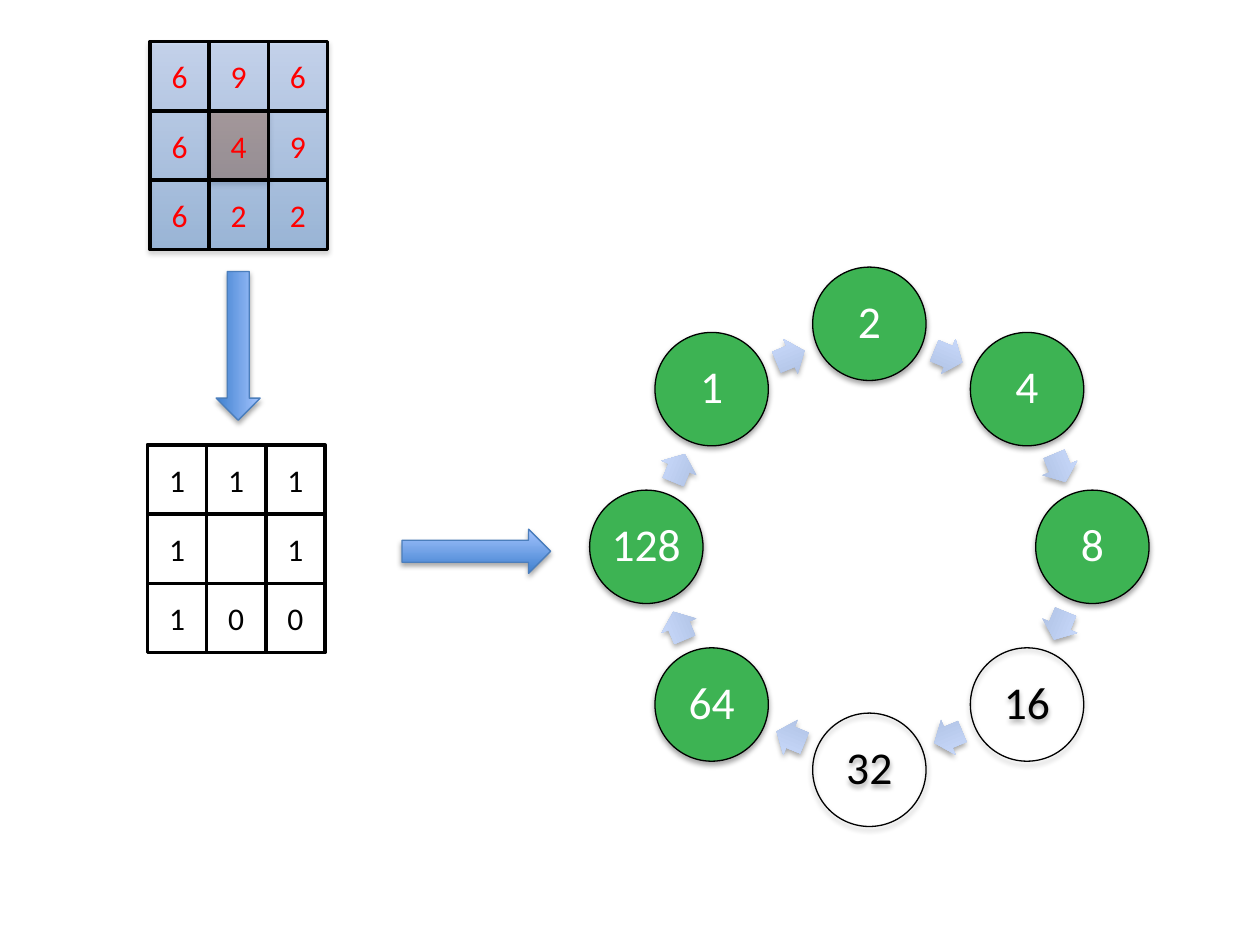
import math

import lxml.etree
import pptx
import pptx.dml.color
import pptx.enum.shapes
import pptx.enum.text
import pptx.oxml.ns
import pptx.util
from pptx.util import Inches

SHAPE = pptx.enum.shapes.MSO_SHAPE
BLACK, WHITE, RED, GREEN = "000000", "FFFFFF", "FF0000", "3DB353"
BLUE_LINE, ORANGE = "4B7EBC", "E46C0A"
BLUE_GRADIENT = ("3F80CE", "A4C4FF")
PALE_GRADIENT = ("ADBFE1", "CCDDFF")
CELL_WIDTH, CELL_HEIGHT = Inches(0.47), Inches(0.55)


def color(hex_text):
    return pptx.dml.color.RGBColor.from_string(hex_text)


def add_child(parent, tag, **attributes):
    child = lxml.etree.SubElement(parent, pptx.oxml.ns.qn(tag))
    for name, value in attributes.items():
        child.set(name, str(value))
    return child


def set_fill(shape, fill, opacity):
    """Fill with nothing, one colour, or a pair running from bottom to top."""
    if fill is None:
        shape.fill.background()
    elif isinstance(fill, str):
        shape.fill.solid()
        shape.fill.fore_color.rgb = color(fill)
    else:
        shape.fill.gradient()
        shape.fill.gradient_angle = 90
        for stop, shade in zip(shape.fill.gradient_stops, fill):
            stop.color.rgb = color(shade)
    if opacity < 100:
        for shade in shape.element.spPr.iter(pptx.oxml.ns.qn("a:srgbClr")):
            add_child(shade, "a:alpha", val=opacity * 1000)


def add_shape(page, kind, box, fill=None, line=None, line_width=0.75,
              shadow=True, opacity=100):
    shape = page.shapes.add_shape(kind, *box)
    set_fill(shape, fill, opacity)
    if line:
        shape.line.color.rgb = color(line)
        shape.line.width = pptx.util.Pt(line_width)
    else:
        shape.line.fill.background()
    shape.shadow.inherit = False
    if shadow:
        effects = shape.element.spPr.find(pptx.oxml.ns.qn("a:effectLst"))
        outer = add_child(effects, "a:outerShdw", blurRad=pptx.util.Pt(3.1),
                          dist=pptx.util.Pt(1.8), dir=5400000, rotWithShape=0)
        add_child(add_child(outer, "a:srgbClr", val=BLACK), "a:alpha", val=35000)
    return shape


def write_number(shape, number, size, text_color):
    frame = shape.text_frame
    frame.word_wrap = False
    frame.vertical_anchor = pptx.enum.text.MSO_ANCHOR.MIDDLE
    para = frame.paragraphs[0]
    para.alignment = pptx.enum.text.PP_ALIGN.CENTER
    span = para.add_run()
    span.text = str(number)
    span.font.name = "Calibri"
    span.font.size = pptx.util.Pt(size)
    span.font.color.rgb = color(text_color)
    return para


def draw_grid(page, left, top, rows, text_color):
    for row, numbers in enumerate(rows):
        for column, number in enumerate(numbers):
            box = (left + column * CELL_WIDTH, top + row * CELL_HEIGHT,
                   CELL_WIDTH, CELL_HEIGHT)
            cell = add_shape(page, SHAPE.RECTANGLE, box, line=BLACK,
                             line_width=2, shadow=False)
            if number is not None:
                write_number(cell, number, 18, text_color)


def draw_pixel_grid(page, left, top, rows):
    """Draw the grey-level grid with its centre pixel tinted."""
    centre = (left + CELL_WIDTH, top + CELL_HEIGHT, CELL_WIDTH, CELL_HEIGHT)
    add_shape(page, SHAPE.RECTANGLE, centre, ORANGE, BLUE_LINE, opacity=50)
    whole = (left, top, 3 * CELL_WIDTH, 3 * CELL_HEIGHT)
    add_shape(page, SHAPE.RECTANGLE, whole, BLUE_GRADIENT, BLUE_LINE, opacity=41)
    draw_grid(page, left, top, rows, RED)


def draw_step_arrow(page, left, top, rotation=0):
    box = (left, top, Inches(1.18), Inches(0.35))
    arrow = add_shape(page, SHAPE.RIGHT_ARROW, box, BLUE_GRADIENT, BLUE_LINE)
    arrow.rotation = rotation


def box_on_ring(ring, radius, degrees, width, height):
    """Return a box centred on the ring, with degrees clockwise from the top."""
    left, top, side = ring
    angle = math.radians(degrees)
    centre_x = left + side / 2 + radius * math.sin(angle)
    centre_y = top + side / 2 - radius * math.cos(angle)
    return int(centre_x - width / 2), int(centre_y - height / 2), width, height


def draw_weight_ring(page, ring, weights):
    """Draw (number, is set) weights clockwise from the top of a square box."""
    diameter, margin = Inches(0.9), Inches(0.04)
    step = 360 / len(weights)
    radius = (ring[2] - diameter) / 2
    arrow_radius = radius * math.cos(math.radians(step / 2))
    for index, (number, is_set) in enumerate(weights):
        degrees = index * step
        circle = add_shape(page, SHAPE.OVAL,
                           box_on_ring(ring, radius, degrees, diameter, diameter),
                           GREEN if is_set else None, BLACK)
        frame = circle.text_frame
        frame.margin_left = frame.margin_right = margin
        frame.margin_top = frame.margin_bottom = margin
        para = write_number(circle, number, 26, WHITE if is_set else BLACK)
        para.line_spacing = 0.9

        degrees += step / 2
        arrow = add_shape(page, SHAPE.RIGHT_ARROW,
                          box_on_ring(ring, arrow_radius, degrees,
                                      Inches(0.24), Inches(0.3)),
                          PALE_GRADIENT)
        arrow.adjustments[0] = 0.6
        arrow.rotation = degrees


def main():
    deck = pptx.Presentation()
    deck.slide_width, deck.slide_height = Inches(10), Inches(7.5)
    page = deck.slides.add_slide(deck.slide_layouts[6])

    draw_grid(page, Inches(1.17), Inches(3.53),
              [(1, 1, 1), (1, None, 1), (1, 0, 0)], BLACK)
    draw_weight_ring(page, (Inches(4.68), Inches(2.12), Inches(4.44)),
                     [(2, True), (4, True), (8, True), (16, False),
                      (32, False), (64, True), (128, True), (1, True)])
    draw_step_arrow(page, Inches(3.19), Inches(4.2))
    draw_step_arrow(page, Inches(1.3), Inches(2.57), rotation=90)
    draw_pixel_grid(page, Inches(1.19), Inches(0.33),
                    [(6, 9, 6), (6, 4, 9), (6, 2, 2)])
    deck.save("out.pptx")


if __name__ == "__main__":
    main()
